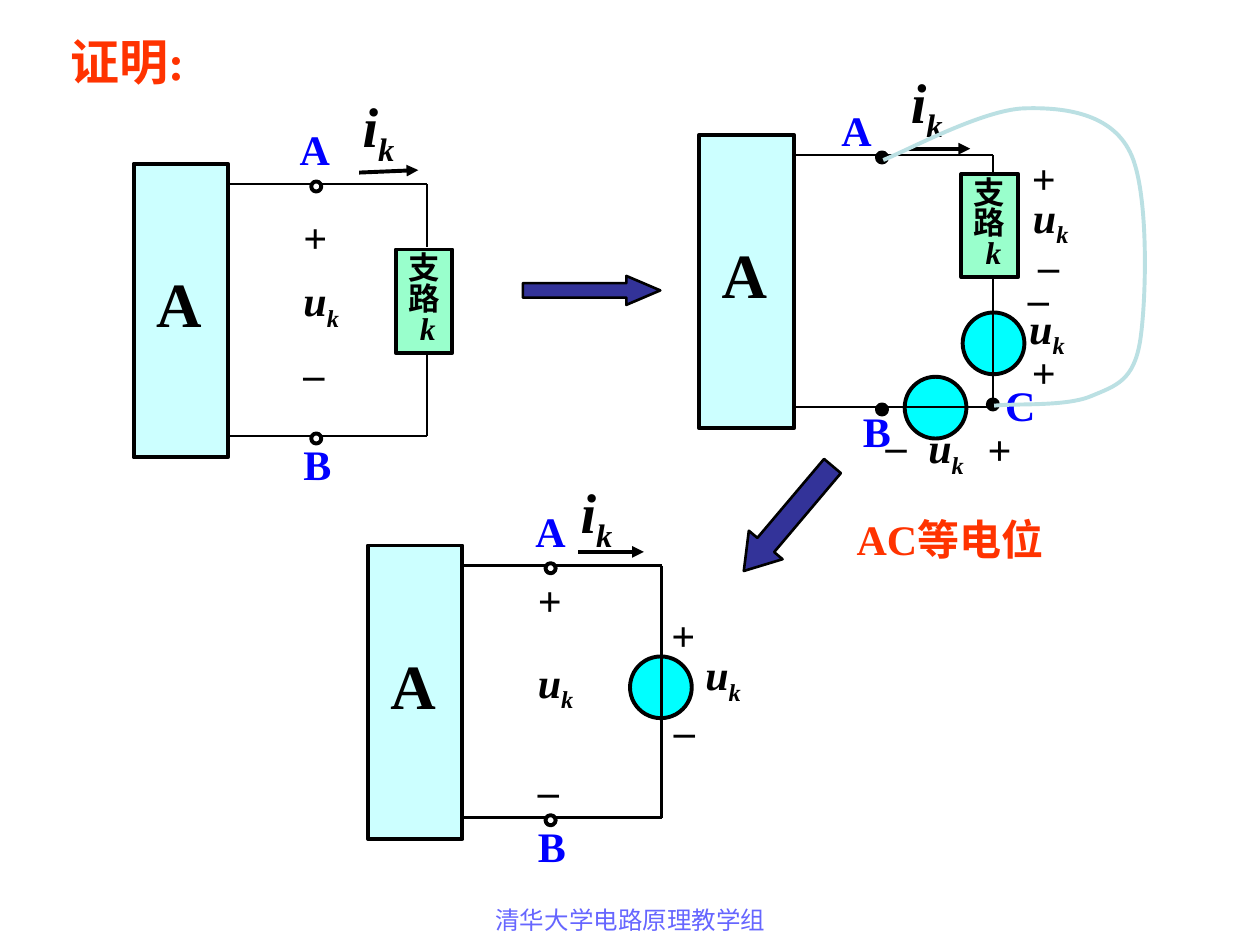
import pptx
import pptx.dml.color
import pptx.enum.shapes
import pptx.enum.text
import pptx.oxml.ns
import pptx.util
from lxml import etree

Inches, Pt = pptx.util.Inches, pptx.util.Pt
SHAPE = pptx.enum.shapes.MSO_SHAPE
ALIGN = pptx.enum.text.PP_ALIGN
MIDDLE = pptx.enum.text.MSO_ANCHOR.MIDDLE
qn = pptx.oxml.ns.qn

BLACK, WHITE, RED, BLUE = "000000", "FFFFFF", "FF3300", "0000FF"
NETWORK, BRANCH, SOURCE = "CCFFFF", "99FFCC", "00FFFF"
ARROW, CURVE, FOOTER = "333399", "BBE0E3", "6666FF"
THIN, THICK = 1.5, 2.25
SOURCE_SIZE, DOT_SIZE = 0.49, 0.08

# mark: width, height, size, colour, italic, subscript
MARKS = {
    "u": (0.6, 0.56, 24, BLACK, True, "k"),
    "i": (0.58, 0.71, 32, BLACK, True, "k"),
    "+": (0.39, 0.5, 24, BLACK, False, ""),
    "–": (0.36, 0.5, 24, BLACK, False, ""),
    "A": (0.44, 0.5, 24, BLUE, False, ""),
    "B": (0.42, 0.5, 24, BLUE, False, ""),
    "C": (0.44, 0.5, 24, BLUE, False, ""),
}

# Each circuit: network corner, gaps in the right-hand wire, marks and parts
CIRCUITS = [
    {
        "corner": (5.55, 1.07), "terminal": BLACK, "stubs": (0.25, 1.02),
        "sources": [(7.18, 2.99), (7.64, 2.48)], "branch": (7.63, 1.38),
        "nodes": [(7.84, 3.17)], "current": (7.21, 1.18, 7.7, 1.18),
        "marks": [("i", 7.13, 0.49), ("+", 8.09, 1.16), ("u", 8.1, 1.47),
                  ("–", 8.14, 1.85), ("–", 8.06, 2.11), ("u", 8.07, 2.35),
                  ("+", 8.09, 2.7), ("–", 6.93, 3.28), ("u", 7.27, 3.3),
                  ("+", 7.74, 3.31), ("A", 6.58, 0.78), ("B", 6.75, 3.17),
                  ("C", 7.88, 2.96)],
    },
    {
        "corner": (1.06, 1.3), "terminal": WHITE, "stubs": (0.5, 0.91),
        "branch": (3.14, 1.98), "current": (2.85, 1.37, 3.32, 1.35),
        "marks": [("i", 2.78, 0.68), ("+", 2.31, 1.63), ("u", 2.31, 2.13),
                  ("–", 2.31, 2.71), ("A", 2.28, 0.93), ("B", 2.31, 3.43)],
    },
    {
        "corner": (2.92, 4.33), "terminal": WHITE, "stubs": (0.72, 0.91),
        "sources": [(5, 5.21)], "through": (5.25, 5.19, 5.25, 5.72),
        "current": (4.59, 4.38, 5.11, 4.38),
        "marks": [("i", 4.51, 3.74), ("+", 4.17, 4.51), ("u", 4.17, 5.16),
                  ("–", 4.17, 6.02), ("+", 5.23, 4.79), ("u", 5.5, 5.1),
                  ("–", 5.25, 5.54), ("A", 4.15, 3.96), ("B", 4.17, 6.46)],
    },
]

# Block arrows: left, top, width, height, rotation, head length
STEPS = [(4.15, 2.19, 1.09, 0.23, 0, 1.17), (5.71, 3.94, 1.09, 0.35, 130.2, 0.77)]

# Start point, then two control points and an end point for each piece
EQUAL_POTENTIAL = [
    (7.01, 1.27),
    (7.19, 1.2), (7.8, 0.87), (8.13, 0.86),
    (8.45, 0.85), (8.82, 0.9), (8.97, 1.21),
    (9.12, 1.51), (9.1, 2.37), (9.05, 2.7),
    (9, 3.02), (8.86, 3.06), (8.67, 3.14),
    (8.47, 3.23), (8.06, 3.2), (7.89, 3.22),
]


def rgb(colour):
    return pptx.dml.color.RGBColor.from_string(colour)


def set_font(paragraph, size, colour, bold=True, italic=False):
    font = paragraph.font
    font.name, font.size, font.bold, font.italic = "Times New Roman", Pt(size), bold, italic
    font.color.rgb = rgb(colour)


def add_text(shapes, text, box, size, colour, bold=True, italic=False,
             subscript="", align=ALIGN.LEFT, wrap=True):
    frame = shapes.add_textbox(*map(Inches, box)).text_frame
    frame.word_wrap = wrap
    paragraph = frame.paragraphs[0]
    paragraph.alignment = align
    paragraph.add_run().text = text
    if subscript:
        lowered = paragraph.add_run()
        lowered.text = subscript
        lowered._r.get_or_add_rPr().set("baseline", "-25000")
    set_font(paragraph, size, colour, bold, italic)


def add_solid(shapes, kind, box, fill, width=THICK):
    shape = shapes.add_shape(kind, *map(Inches, box))
    shape.shadow.inherit = False
    shape.fill.solid()
    shape.fill.fore_color.rgb = rgb(fill)
    shape.line.color.rgb = rgb(BLACK)
    shape.line.width = Pt(width)
    return shape


def add_wire(shapes, ends, width=THIN, arrow=False):
    wire = shapes.add_connector(pptx.enum.shapes.MSO_CONNECTOR.STRAIGHT, *map(Inches, ends))
    wire.line.color.rgb = rgb(BLACK)
    wire.line.width = Pt(width)
    if arrow:
        etree.SubElement(wire.line._get_or_add_ln(), qn("a:tailEnd"), type="triangle")
    etree.SubElement(wire._element.spPr, qn("a:effectLst"))


def add_branch(shapes, left, top):
    frame = add_solid(shapes, SHAPE.RECTANGLE, (left, top, 0.45, 0.82), BRANCH).text_frame
    frame.word_wrap = False
    frame.vertical_anchor = MIDDLE
    frame.text = "支\n路\nk"
    for paragraph in frame.paragraphs:
        paragraph.alignment = ALIGN.CENTER
        paragraph.line_spacing = 0.8
        set_font(paragraph, 18, BLACK, italic=paragraph.text == "k")
    frame.paragraphs[-1]._p.get_or_add_pPr().set("marL", str(Inches(0.06)))


def add_circuit(shapes, circuit):
    left, top = circuit["corner"]
    for x, y in circuit.get("sources", []):
        add_solid(shapes, SHAPE.OVAL, (x, y, SOURCE_SIZE, SOURCE_SIZE), SOURCE)
    if "through" in circuit:
        add_wire(shapes, circuit["through"], THICK)

    add_solid(shapes, SHAPE.RECTANGLE, (left, top, 0.75, 2.33), NETWORK)
    add_text(shapes, "A", (left + 0.08, top + 0.75, 0.5, 0.7), 36, BLACK)

    start, end = left + 0.75, left + 2.33
    upper, lower = circuit["stubs"]
    nodes = list(circuit.get("nodes", []))
    for y, stub in ((top + 0.16, upper), (top + 2.16, -lower)):
        add_wire(shapes, (start, y, end, y))
        add_wire(shapes, (end, y, end, y + stub))
        nodes.append((left + 1.41, y - 0.02))
    add_wire(shapes, circuit["current"], THICK, arrow=True)

    if "branch" in circuit:
        add_branch(shapes, *circuit["branch"])
    for x, y in nodes:
        add_solid(shapes, SHAPE.OVAL, (x, y, DOT_SIZE, DOT_SIZE), circuit["terminal"])
    for mark, x, y in circuit["marks"]:
        width, height, size, colour, italic, subscript = MARKS[mark]
        add_text(shapes, mark, (x, y, width, height), size, colour,
                 italic=italic, subscript=subscript)


def add_curve(shapes, points):
    """Draw a line through the points, then turn each three steps into a Bézier piece."""
    start, *rest = [(Inches(x), Inches(y)) for x, y in points]
    builder = shapes.build_freeform(*start)
    builder.add_line_segments(rest, close=False)
    curve = builder.convert_to_shape()
    curve.shadow.inherit = False
    curve.fill.background()
    curve.line.color.rgb = rgb(CURVE)
    curve.line.width = Pt(THICK)
    outline = next(curve._element.iter(qn("a:path")))
    steps = outline.findall(qn("a:lnTo"))
    for first in range(0, len(steps), 3):
        piece = etree.SubElement(outline, qn("a:cubicBezTo"))
        for step in steps[first:first + 3]:
            piece.append(step[0])
            outline.remove(step)


presentation = pptx.Presentation()
presentation.slide_width, presentation.slide_height = Inches(10), Inches(7.5)
slide = presentation.slides.add_slide(presentation.slide_layouts[6])

add_text(slide.shapes, "证明:", (0.46, 0.2, 1.2, 0.57), 28, RED, wrap=False)
for circuit in CIRCUITS:
    add_circuit(slide.shapes.add_group_shape().shapes, circuit)
add_text(slide.shapes, "AC等电位", (6.66, 4.03, 1.76, 0.5), 24, RED,
         align=ALIGN.CENTER, wrap=False)
add_curve(slide.shapes, EQUAL_POTENTIAL)
for *box, rotation, head in STEPS:
    step = add_solid(slide.shapes, SHAPE.RIGHT_ARROW, box, ARROW, THIN)
    step.rotation = rotation
    step.adjustments[1] = head
add_text(slide.shapes, "清华大学电路原理教学组", (3.42, 7.13, 3.17, 0.52), 14, FOOTER,
         bold=False, align=ALIGN.CENTER)

presentation.save("out.pptx")
